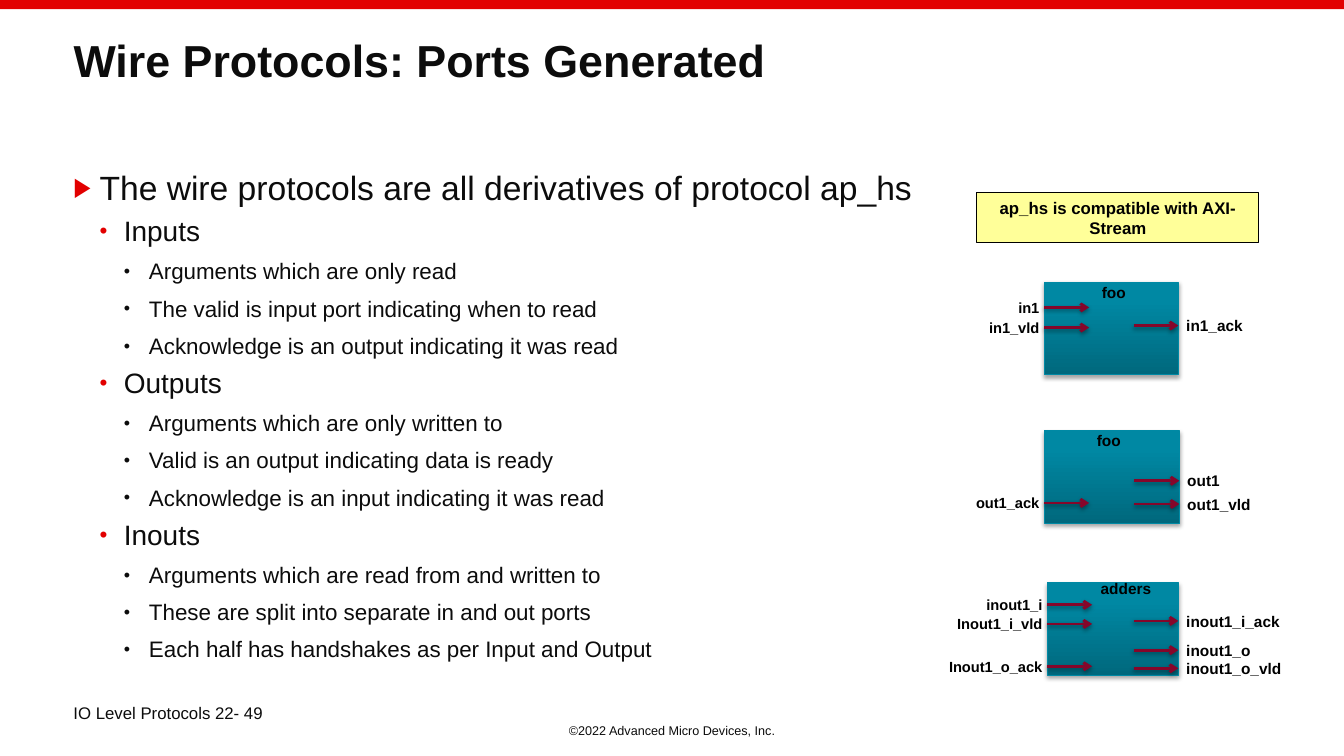
from lxml.etree import SubElement
from pptx import Presentation
from pptx.dml.color import RGBColor
from pptx.enum.shapes import MSO_CONNECTOR, MSO_SHAPE
from pptx.enum.text import MSO_ANCHOR, MSO_AUTO_SIZE, PP_ALIGN
from pptx.oxml.ns import qn
from pptx.util import Emu, Inches, Pt

SLIDE_COLS, SLIDE_ROWS = 133.33, 75
INK, BLACK, RED, WINE = "0C0C0C", "000000", "E20000", "85062A"
ARROW_COLS, LABEL_COLS, LABEL_ROWS = 4.45, 13, 2.8

LEVELS = [
    dict(size=24, left=0.26, hang=0.26, before=16, spacing=1.0, mark="▶", mark_color=RED),
    dict(size=20, left=0.5, hang=0.24, before=6, spacing=0.95, mark="•", mark_color=RED),
    dict(size=16, left=0.75, hang=0.25, before=8.3, spacing=0.95, mark="•", mark_color=INK),
]

HEADLINE = "The wire protocols are all derivatives of protocol ap_hs"
PORT_KINDS = {
    "Inputs": ["Arguments which are only read",
               "The valid is input port indicating when to read",
               "Acknowledge is an output indicating it was read"],
    "Outputs": ["Arguments which are only written to",
                "Valid is an output indicating data is ready",
                "Acknowledge is an input indicating it was read"],
    "Inouts": ["Arguments which are read from and written to",
               "These are split into separate in and out ports",
               "Each half has handshakes as per Input and Output"],
}

BLOCKS = [
    dict(name="foo", box=(103.6, 28, 13.3, 9.2), name_at=(6.9, 1),
         inputs={"in1": 2.5, "in1_vld": 4.5}, outputs={"in1_ack": 4.3}),
    dict(name="foo", box=(103.6, 42.7, 13.4, 9.2), name_at=(6.4, 1),
         inputs={"out1_ack": 7.2}, outputs={"out1": 5, "out1_vld": 7.3}),
    dict(name="adders", box=(103.9, 57.8, 13, 9.2), name_at=(7.8, 0.6),
         inputs={"inout1_i": 2.2, "Inout1_i_vld": 4.1, "Inout1_o_ack": 8.3},
         outputs={"inout1_i_ack": 3.8, "inout1_o": 6.7, "inout1_o_vld": 8.5}),
]


def grid(cells):
    """Turn a count of tenth-inch columns or rows into a length."""
    return Emu(round(cells * Inches(0.1)))


def color(value):
    """Turn a hex string into a colour."""
    return RGBColor.from_string(value)


def style(paragraph, size, ink, bold=False, align=PP_ALIGN.LEFT):
    """Format a paragraph and its runs."""
    paragraph.alignment = align
    for run in paragraph.runs:
        run.font.name, run.font.size, run.font.bold = "Arial", Pt(size), bold
        run.font.color.rgb = color(ink)


def add_label(slide, text, box, size, ink=INK, bold=False,
              align=PP_ALIGN.LEFT, anchor=MSO_ANCHOR.MIDDLE):
    """Add one line of text in a box."""
    frame = slide.shapes.add_textbox(*map(grid, box)).text_frame
    frame.word_wrap, frame.vertical_anchor = True, anchor
    frame.text = text
    style(frame.paragraphs[0], size, ink, bold, align)


def add_rectangle(slide, box, fill=None, line=None):
    """Add a flat rectangle with an optional plain fill and outline."""
    rectangle = slide.shapes.add_shape(MSO_SHAPE.RECTANGLE, *map(grid, box))
    rectangle.shadow.inherit = False
    if fill:
        rectangle.fill.solid()
        rectangle.fill.fore_color.rgb = color(fill)
    if line:
        rectangle.line.color.rgb = color(line)
        rectangle.line.width = Pt(0.75)
    else:
        rectangle.line.fill.background()
    return rectangle


def add_drop_shadow(properties, opacity, distance):
    """Give shape properties a soft shadow that falls downwards."""
    effects = properties.find(qn("a:effectLst"))
    if effects is None:
        effects = SubElement(properties, qn("a:effectLst"))
    shadow = SubElement(effects, qn("a:outerShdw"), blurRad=str(Pt(3.1)),
                        dist=str(Pt(distance)), dir="5400000", rotWithShape="0")
    black = SubElement(shadow, qn("a:srgbClr"), val=BLACK)
    SubElement(black, qn("a:alpha"), val=str(opacity * 1000))


def add_arrow(slide, left, row):
    """Add a port arrow that points right."""
    arrow = slide.shapes.add_connector(
        MSO_CONNECTOR.STRAIGHT, grid(left), grid(row), grid(left + ARROW_COLS), grid(row))
    arrow.line.color.rgb = color(WINE)
    arrow.line.width = Pt(2)
    SubElement(arrow.line._get_or_add_ln(), qn("a:tailEnd"), type="arrow")
    add_drop_shadow(arrow._element.spPr, 38, 1.6)


def add_bullet(paragraph, level):
    """Set the indent, spacing and bullet of an outline level."""
    look = LEVELS[level]
    paragraph.level = level
    properties = paragraph._p.get_or_add_pPr()
    properties.set("marL", str(Inches(look["left"])))
    properties.set("indent", str(-Inches(look["hang"])))
    mark_color = SubElement(properties, qn("a:buClr"))
    SubElement(mark_color, qn("a:srgbClr"), val=look["mark_color"])
    SubElement(properties, qn("a:buSzPct"), val="80000")
    SubElement(properties, qn("a:buFont"), typeface="Arial")
    SubElement(properties, qn("a:buChar"), char=look["mark"])
    paragraph.line_spacing = look["spacing"]


def build_title(slide, box):
    """Place and format the slide title."""
    title = slide.shapes.title
    title.left, title.top, title.width, title.height = map(grid, box)
    frame = title.text_frame
    frame.auto_size, frame.vertical_anchor = MSO_AUTO_SIZE.NONE, MSO_ANCHOR.TOP
    frame.text = "Wire Protocols: Ports Generated"
    frame.paragraphs[0].line_spacing = 0.9
    style(frame.paragraphs[0], 32, INK, bold=True)


def build_outline(slide, box):
    """Write the bulleted outline of port kinds."""
    frame = slide.shapes.add_textbox(*map(grid, box)).text_frame
    frame.word_wrap = True
    entries = [(0, HEADLINE)]
    for kind, facts in PORT_KINDS.items():
        entries += [(1, kind)] + [(2, fact) for fact in facts]
    for index, (level, text) in enumerate(entries):
        paragraph = frame.add_paragraph() if index else frame.paragraphs[0]
        paragraph.text = text
        add_bullet(paragraph, level)
        if index:
            paragraph.space_before = Pt(LEVELS[level]["before"])
        style(paragraph, LEVELS[level]["size"], INK)


def build_block(slide, name, box, name_at, inputs, outputs):
    """Draw a function block with its input and output ports."""
    left, top, width, _ = box
    right = left + width
    body = add_rectangle(slide, box, line="0089A4")
    body.fill.gradient()
    body.fill.gradient_angle = 90
    for stop, (position, shade) in zip(body.fill.gradient_stops,
                                       [(0, "00687D"), (0.8, "0088A3")]):
        stop.position, stop.color.rgb = position, color(shade)
    add_drop_shadow(body._element.spPr, 35, 1.8)
    name_box = (left + name_at[0] - LABEL_COLS / 2, top + name_at[1] - LABEL_ROWS / 2,
                LABEL_COLS, LABEL_ROWS)
    add_label(slide, name, name_box, 11, BLACK, True, PP_ALIGN.CENTER)
    sides = [(inputs, left, left + 0.5 - LABEL_COLS, 10.5, PP_ALIGN.RIGHT),
             (outputs, right - ARROW_COLS, right - 0.2, 11, PP_ALIGN.LEFT)]
    for ports, arrow_left, label_left, size, align in sides:
        for port, row in ports.items():
            add_arrow(slide, arrow_left, top + row)
            label_box = (label_left, top + row - LABEL_ROWS / 2, LABEL_COLS, LABEL_ROWS)
            add_label(slide, port, label_box, size, BLACK, True, align)


def build_note(slide, box):
    """Add the yellow compatibility note."""
    frame = add_rectangle(slide, box, "FFFF99", BLACK).text_frame
    frame.word_wrap = True
    frame.text = "ap_hs is compatible with AXI-Stream"
    style(frame.paragraphs[0], 12, BLACK, True, PP_ALIGN.CENTER)


def build_frame(slide):
    """Add the top band and the footer lines."""
    add_rectangle(slide, (0, 0, SLIDE_COLS, 0.9), RED)
    add_label(slide, "©2022 Advanced Micro Devices, Inc.", (0, 71.2, SLIDE_COLS, 2.5),
              9, align=PP_ALIGN.CENTER)
    add_label(slide, "IO Level Protocols 22- 49", (6.3, 69.2, 24.1, 4), 12,
              anchor=MSO_ANCHOR.TOP)


def main():
    """Build the slide and save it."""
    deck = Presentation()
    deck.slide_width, deck.slide_height = grid(SLIDE_COLS), grid(SLIDE_ROWS)
    slide = deck.slides.add_slide(deck.slide_layouts[5])
    build_frame(slide)
    build_title(slide, (6.3, 3.3, 120.7, 10.7))
    build_outline(slide, (6.3, 16.1, 120.7, 50.7))
    for block in BLOCKS:
        build_block(slide, **block)
    build_note(slide, (96.9, 19.1, 28, 5))
    deck.save("out.pptx")


if __name__ == "__main__":
    main()
